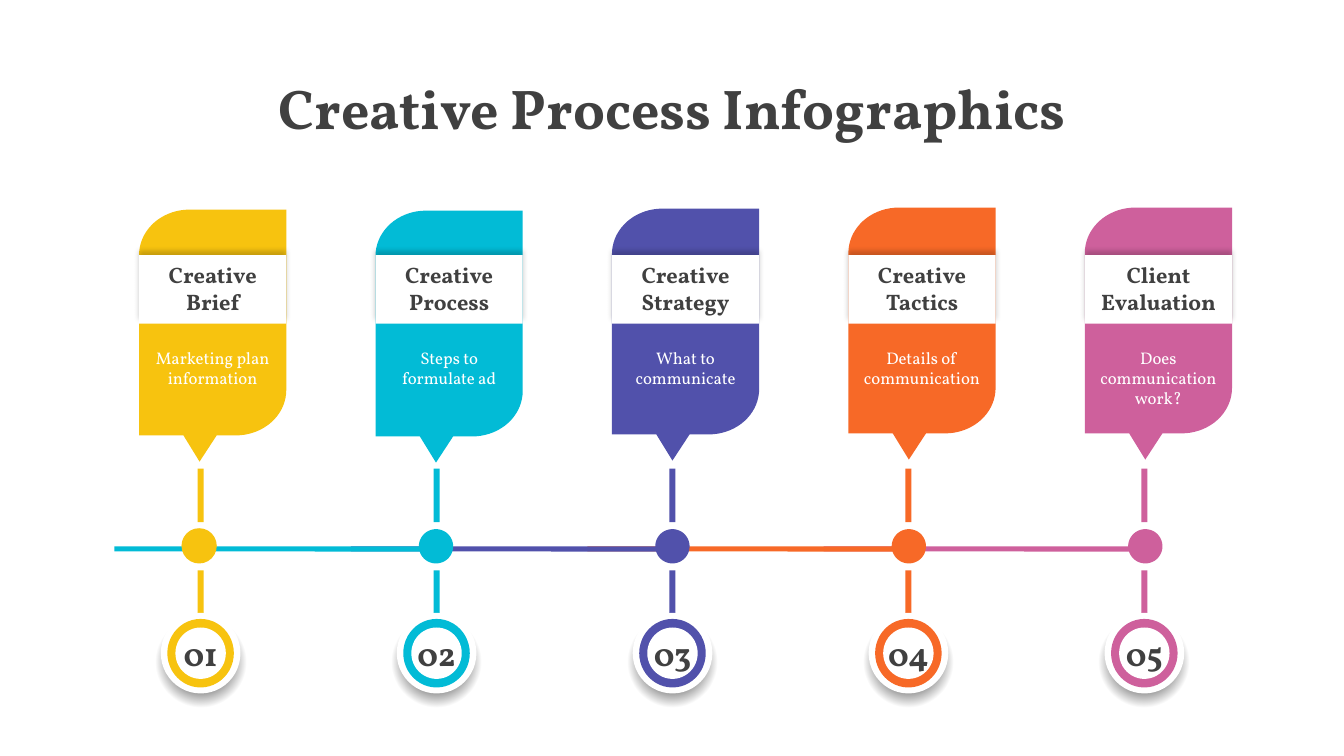
"""Build the five-step creative process timeline slide."""
import math

from pptx import Presentation, oxml, util as u
from pptx.dml.color import RGBColor
from pptx.enum import shapes, text
from pptx.oxml import ns

COLOURS = {
    "yellow": "F7C30F", "cyan": "02BBD6", "indigo": "5151AB", "orange": "F76927",
    "pink": "CE609C", "white": "FFFFFF", "black": "000000", "ink": "404040",
}
STEPS = [
    ("yellow", "Creative Brief", 1.34, "Marketing plan information", 0.5, 2.08),
    ("cyan", "Creative Process", 1.34, "Steps to formulate ad", 0.5, 2.09),
    ("indigo", "Creative Strategy", 1.34, "What to communicate", 0.5, 2.07),
    ("orange", "Creative Tactics", 1.34, "Details of communication", 0.5, 2.06),
    ("pink", "Client Evaluation", 1.47, "Does communication work?", 0.71, 2.06),
]
FLAG_LEFT, FLAG_PITCH, FLAG_WIDTH = 1.38, 9.38 / 4, 1.46
STEM_CENTRE, STEM_PITCH = 1.99, 9.36 / 4
NODE_Y, NODE_RADIUS = 5.42, 0.17
BADGE_Y = 6.48
SHADOW = (
    f'<a:outerShdw {ns.nsdecls("a")} blurRad="50800" dist="38100" dir="16200000" rotWithShape="0">'
    f'<a:srgbClr val="{COLOURS["black"]}"><a:alpha val="20000"/></a:srgbClr></a:outerShdw>'
)
FADE = "".join(
    f'<a:gs pos="{position}"><a:srgbClr val="{COLOURS["black"]}"><a:alpha val="{alpha}"/></a:srgbClr></a:gs>'
    for position, alpha in ((0, 50000), (42000, 45000), (68000, 0), (100000, 0))
)
GLOW = (
    f'<a:gradFill {ns.nsdecls("a")} rotWithShape="1"><a:gsLst>{FADE}</a:gsLst><a:path path="circle">'
    '<a:fillToRect l="50000" t="50000" r="50000" b="50000"/></a:path></a:gradFill>'
)


def write(box, wording, size, colour="ink", bold=True, wrap=True):
    frame = box.text_frame
    frame.word_wrap = wrap
    frame.vertical_anchor = text.MSO_ANCHOR.TOP
    paragraph = frame.paragraphs[0]
    paragraph.text = wording
    paragraph.alignment = text.PP_ALIGN.CENTER
    paragraph.font.name = "Vollkorn"
    paragraph.font.size = u.Pt(size)
    paragraph.font.bold = bold
    paragraph.font.color.rgb = RGBColor.from_string(COLOURS[colour])


def draw(outline, colour, box=None):
    if box:
        part = slide.shapes.add_shape(outline, *map(u.Inches, box))
    else:
        points = [(u.Inches(x), u.Inches(y)) for x, y in outline]
        builder = slide.shapes.build_freeform(*points[0])
        builder.add_line_segments(points[1:])
        part = builder.convert_to_shape()
    part.shadow.inherit = False
    part.fill.solid()
    part.fill.fore_color.rgb = RGBColor.from_string(COLOURS[colour])
    part.line.fill.background()
    return part


deck = Presentation()
deck.slide_width, deck.slide_height = u.Inches(13.33), u.Inches(7.5)
slide = deck.slides.add_slide(deck.slide_layouts[5])
rectangle, oval = shapes.MSO_SHAPE.RECTANGLE, shapes.MSO_SHAPE.OVAL

title = slide.shapes.title
title.left, title.top = u.Inches(0), u.Inches(0.68)
title.width, title.height = u.Inches(13.33), u.Inches(0.77)
write(title, "Creative Process Infographics", 40)

for index in range(len(STEPS) - 1, 0, -1):
    node_x = FLAG_LEFT + index * FLAG_PITCH + 0.6
    rim = [
        (node_x + NODE_RADIUS * math.cos(math.radians(angle)),
         NODE_Y + NODE_RADIUS * math.sin(math.radians(angle)))
        for angle in range(180, 523, 6)
    ]
    draw([(node_x - 3.19, NODE_Y), *rim, (node_x - 3.19, NODE_Y + 0.05)], STEPS[index][0])
draw(oval, STEPS[0][0], (1.8, 5.24, 0.35, 0.35))

quarter = [
    (math.cos(math.radians(angle)), math.sin(math.radians(angle)))
    for angle in range(0, 91, 5)
]
for index, (colour, heading, heading_width, caption, caption_height, top) in enumerate(STEPS):
    left = FLAG_LEFT + index * FLAG_PITCH
    right, base = left + FLAG_WIDTH, top + 2.24
    upper_corner = [(left + 0.5 - 0.5 * c, top + 0.45 - 0.45 * s) for c, s in quarter]
    lower_corner = [(right - 0.5 + 0.5 * c, base - 0.45 + 0.45 * s) for c, s in quarter]
    pointer = [(left + 0.77, base), (left + 0.6, top + 2.5), (left + 0.44, base)]
    draw([*upper_corner, (right, top), *lower_corner, *pointer, (left, base)], colour)

    label = draw(rectangle, "white", (left, 2.53, FLAG_WIDTH, 0.68))
    label._element.spPr.find(ns.qn("a:effectLst")).append(oxml.parse_xml(SHADOW))
    heading_left = left + (FLAG_WIDTH - heading_width) / 2
    write(slide.shapes.add_textbox(*map(u.Inches, (heading_left, 2.54, heading_width, 0.64))),
          heading, 16)
    write(slide.shapes.add_textbox(*map(u.Inches, (left, 3.4, FLAG_WIDTH, caption_height))),
          caption, 12, colour="white", bold=False)

    centre = STEM_CENTRE + index * STEM_PITCH
    for stem_top in (4.65, 5.66):
        draw(rectangle, colour, (centre - 0.03, stem_top, 0.06, 0.53))

    glow = draw(oval, "black", (centre - 0.46, 6.1, 0.92, 0.94))
    properties = glow._element.spPr
    properties.replace(properties.find(ns.qn("a:solidFill")), oxml.parse_xml(GLOW))
    for ring, width, height in (("white", 0.79, 0.8), (colour, 0.66, 0.68), ("white", 0.5, 0.51)):
        draw(oval, ring, (centre - width / 2, BADGE_Y - height / 2, width, height))
    write(slide.shapes.add_textbox(*map(u.Inches, (centre - 0.3, 6.23, 0.6, 0.5))),
          f"{index + 1:02}", 24, wrap=False)

deck.save("out.pptx")
